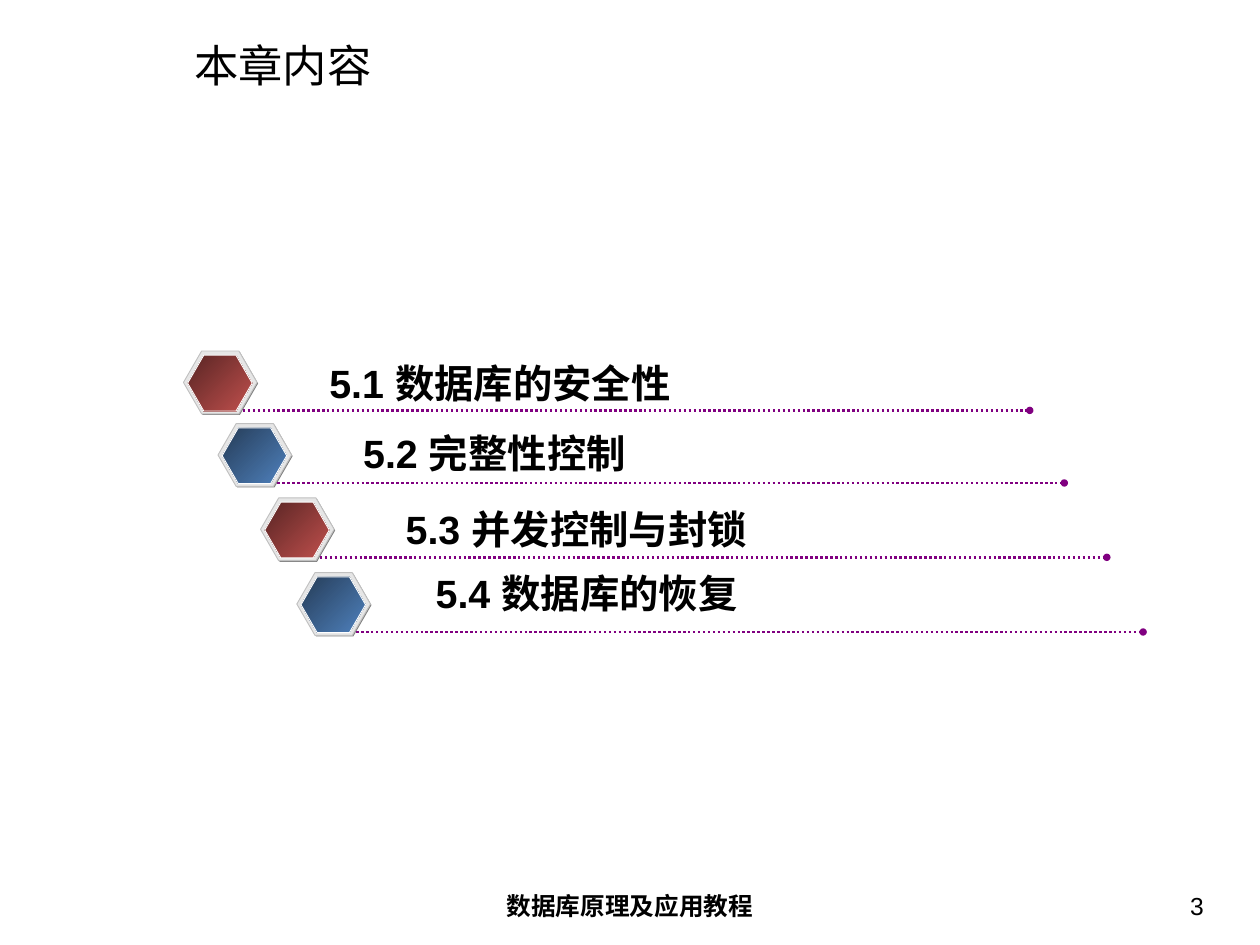
"""Build the chapter contents slide with four staggered section rows."""
from lxml.etree import SubElement as Sub
from pptx import Presentation
from pptx.dml.color import RGBColor as Rgb
from pptx.enum.dml import MSO_LINE as Dash
from pptx.enum.shapes import MSO_CONNECTOR as Link, MSO_SHAPE as Shape
from pptx.enum.text import MSO_ANCHOR as Anchor, PP_ALIGN as Align
from pptx.oxml.ns import qn
from pptx.util import Cm, Pt

SIZE = (36.12, 27.08)
FRAME = [
    ("本章内容", (5.21, 1.14, 30.05, 1.45), "title", Align.LEFT, Anchor.MIDDLE),
    ("数据库原理及应用教程", (12.34, 25.35, 11.43, 1.4), "foot", Align.CENTER, Anchor.TOP),
    ("3", (26.44, 25.35, 8.43, 1.4), "page", Align.RIGHT, Anchor.TOP),
]
ROWS = [
    ("5.1 数据库的安全性", (5.26, 10.06), (9.19, 10.16)),
    ("5.2 完整性控制", (6.25, 12.14), (10.16, 12.17)),
    ("5.3 并发控制与封锁", (7.47, 14.27), (11.38, 14.35)),
    ("5.4 数据库的恢复", (8.51, 16.41), (12.24, 16.18)),
]
THEME = {
    "ink": "000000", "shade": "808080", "rim": "E6E6E6", "edge": "C0C0C0",
    "white": "FFFFFF", "rule": "800080",
    "gems": [("592524", "C0504D"), ("253C57", "4F81BD")],
    "title": {"name": "Arial", "size": Pt(36), "bold": False},
    "foot": {"name": "Arial", "size": Pt(20), "bold": True},
    "page": {"name": "Arial", "size": Pt(20), "bold": False},
    "item": {"name": "Arial", "size": Pt(32), "bold": True},
}
HEX = (2.11, 1.8)
GEM = (1.85, 1.6)
INSET = 0.12
DROP = 0.03
RULE = 22.56
START = 1.7
CHAR = 1.13


def color(key):
    return Rgb.from_string(THEME.get(key, key))


def add_text(parts, text, area, pad, style, align=Align.LEFT, anchor=Anchor.TOP):
    frame = parts.add_textbox(*map(Cm, area)).text_frame
    form = {
        "word_wrap": True, "vertical_anchor": anchor,
        "margin_left": Cm(pad), "margin_right": Cm(pad),
        "margin_top": Cm(pad / 2), "margin_bottom": Cm(pad / 2),
    }
    for key, val in form.items():
        setattr(frame, key, val)
    para = frame.paragraphs[0]
    para.alignment = align
    run = para.add_run()
    run.text = text
    for key, val in THEME[style].items():
        setattr(run.font, key, val)
    run.font.color.rgb = color("ink")


def add_hex(parts, left, top, size, fill, edge=None):
    hexa = parts.add_shape(Shape.HEXAGON, *map(Cm, (left, top, *size)))
    hexa.shadow.inherit = False
    hexa.adjustments[0] = 0.289
    if isinstance(fill, tuple):
        hexa.fill.gradient()
        hexa.fill.gradient_angle = 315
        for stop, tone, place in zip(hexa.fill.gradient_stops, fill, (0, 1)):
            stop.color.rgb = color(tone)
            stop.position = place
    else:
        hexa.fill.solid()
        hexa.fill.fore_color.rgb = color(fill)
    if edge:
        hexa.line.color.rgb = color(edge)
        hexa.line.width = Pt(0.75)
    else:
        hexa.line.fill.background()


def add_rule(parts, left, top):
    rule = parts.add_connector(Link.STRAIGHT, *map(Cm, (left, top, left + RULE, top)))
    rule.line.color.rgb = color("rule")
    rule.line.width = Pt(2)
    rule.line.dash_style = Dash.ROUND_DOT
    Sub(rule.line._get_or_add_ln(), qn("a:tailEnd"), type="oval")
    Sub(rule._element.spPr, qn("a:effectLst"))


def add_row(parts, row, gem):
    text, (left, top), spot = row
    add_hex(parts, left + DROP, top + DROP, HEX, "shade")
    add_hex(parts, left, top, HEX, "rim", "edge")
    add_hex(parts, left + INSET, top + INSET, GEM, gem, "white")
    add_rule(parts, left + START, top + START)
    wide = CHAR * len(text) - 1.5
    add_text(parts, text, (*spot, wide, 1.62), 0.25, "item")


def main():
    deck = Presentation()
    deck.slide_width, deck.slide_height = map(Cm, SIZE)
    slide = deck.slides.add_slide(deck.slide_layouts[6])
    for text, area, style, align, anchor in FRAME:
        add_text(slide.shapes, text, area, 0.36, style, align, anchor)
    for pos, row in enumerate(ROWS):
        group = slide.shapes.add_group_shape()
        add_row(group.shapes, row, THEME["gems"][pos % 2])
    deck.save("out.pptx")


if __name__ == "__main__":
    main()
